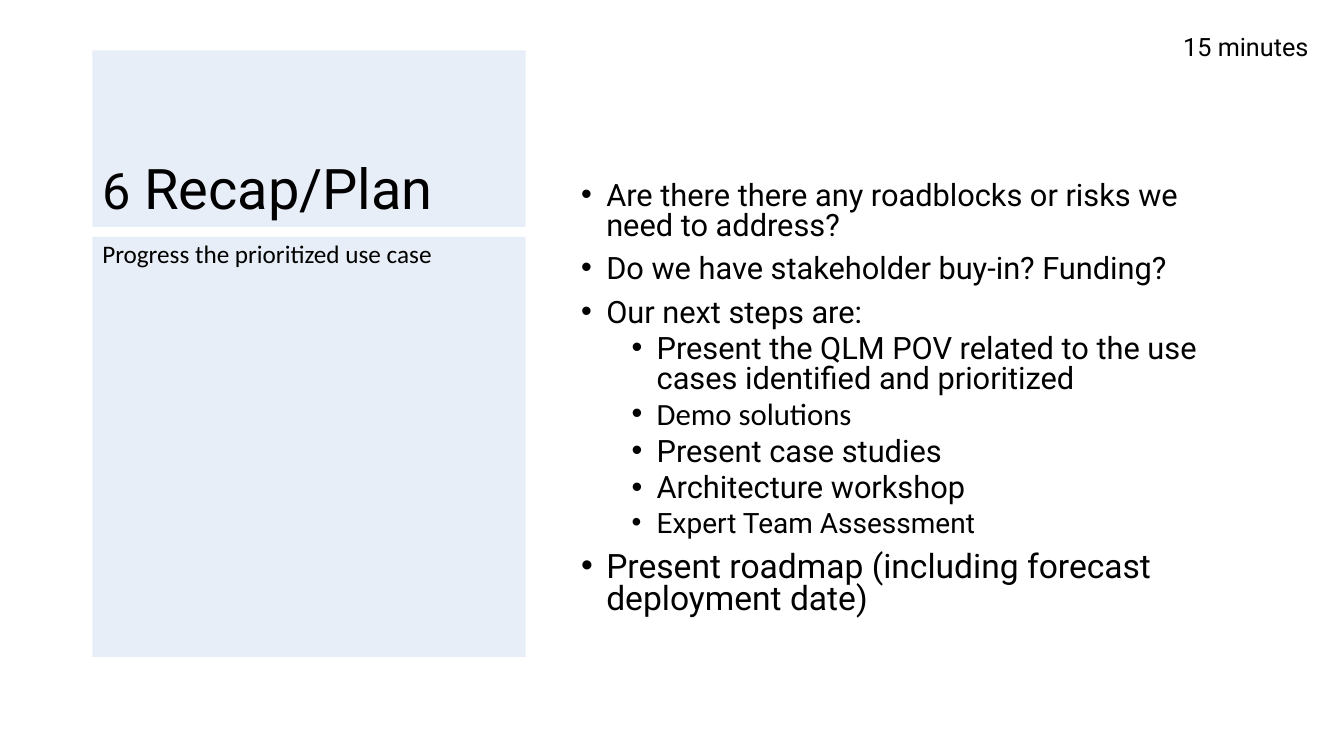
"""Build the Recap/Plan agenda slide on a grid of 160 columns by 90 rows."""
from dataclasses import dataclass

from lxml.etree import SubElement
from pptx import Presentation
from pptx.dml.color import RGBColor
from pptx.enum.shapes import MSO_SHAPE as Preset
from pptx.enum.text import MSO_ANCHOR as Anchor, PP_ALIGN as Align
from pptx.oxml.ns import qn
from pptx.util import Inches, Pt

COLOURS = {"panel": "B4C7E7", "text": "000000"}
CELL = Inches(1 / 12)
PANEL_OPACITY = 30
INDENT = Inches(0.25)


@dataclass(frozen=True)
class Area:
    col: float
    row: float
    cols: float
    rows: float

    def box(self) -> tuple[int, ...]:
        """Return left, top, width and height in slide units."""
        return tuple(round(n * CELL) for n in (self.col, self.row, self.cols, self.rows))


@dataclass(frozen=True)
class Point:
    text: str
    level: int = 0
    size: float = 22
    font: str = "Roboto"


HEADING = Area(11, 6, 51.6, 21)
SUMMARY = Area(11, 28.2, 51.6, 50)
AGENDA = Area(68, 13, 81, 64)
DURATION = Area(139.68, 3.12, 17.88, 4.8)

POINTS = (
    Point("Are there there any roadblocks or risks we need to address?"),
    Point("Do we have stakeholder buy-in? Funding?"),
    Point("Our next steps are:"),
    Point("Present the QLM POV related to the use cases identified and prioritized", 1),
    Point("Demo solutions", 1, font="Calibri"),
    Point("Present case studies", 1),
    Point("Architecture workshop", 1),
    Point("Expert Team Assessment", 1, 20),
    Point("Present roadmap (including forecast deployment date)", size=24),
)


def write(paragraph, text: str, *, size: float, font: str = "Roboto",
          spacing: float = 1.0, before: float = 0) -> None:
    """Append a formatted run to a paragraph."""
    paragraph.alignment = Align.LEFT
    paragraph.line_spacing = spacing
    paragraph.space_before = Pt(before)
    run = paragraph.add_run()
    run.text = text
    run.font.size = Pt(size)
    run.font.name = font
    run.font.color.rgb = RGBColor.from_string(COLOURS["text"])


def add_panel(slide, area: Area, anchor: Anchor):
    """Draw a translucent panel and return its first paragraph."""
    panel = slide.shapes.add_shape(Preset.RECTANGLE, *area.box())
    panel.shadow.inherit = False
    panel.line.fill.background()
    panel.fill.solid()
    panel.fill.fore_color.rgb = RGBColor.from_string(COLOURS["panel"])
    tint = next(panel.element.spPr.iter(qn("a:srgbClr")))
    SubElement(tint, qn("a:alpha"), val=str(PANEL_OPACITY * 1000))
    panel.text_frame.word_wrap = True
    panel.text_frame.vertical_anchor = anchor
    return panel.text_frame.paragraphs[0]


def add_text_area(slide, area: Area):
    """Add a wrapping text box and return its text frame."""
    frame = slide.shapes.add_textbox(*area.box()).text_frame
    frame.word_wrap = True
    return frame


def add_bullet(paragraph, level: int) -> None:
    """Give a paragraph a hanging bullet for its level."""
    paragraph.level = level
    properties = paragraph._p.get_or_add_pPr()
    properties.set("marL", str(INDENT * (1 + 2 * level)))
    properties.set("indent", str(-INDENT))
    SubElement(properties, qn("a:buFont"), typeface="Arial")
    SubElement(properties, qn("a:buChar"), char="•")


def add_agenda(slide, area: Area, points: tuple[Point, ...]) -> None:
    """List the discussion points."""
    frame = add_text_area(slide, area)
    frame.margin_top = Inches(0.73)
    for index, point in enumerate(points):
        paragraph = frame.add_paragraph() if index else frame.paragraphs[0]
        write(paragraph, point.text, size=point.size, font=point.font, spacing=0.8,
              before=5 if point.level else 10 if index else 0)
        add_bullet(paragraph, point.level)


def main() -> None:
    """Assemble and save the slide."""
    deck = Presentation()
    deck.slide_width, deck.slide_height = 160 * CELL, 90 * CELL
    slide = deck.slides.add_slide(deck.slide_layouts[6])

    heading = add_panel(slide, HEADING, Anchor.BOTTOM)
    write(heading, "6", size=36, spacing=0.9)
    write(heading, " Recap/Plan", size=40, spacing=0.9)
    add_agenda(slide, AGENDA, POINTS)
    summary = add_panel(slide, SUMMARY, Anchor.TOP)
    write(summary, "Progress the prioritized use case", size=18, font="Calibri", spacing=0.9)
    duration = add_text_area(slide, DURATION)
    write(duration.paragraphs[0], "15 minutes", size=18)

    deck.save("out.pptx")


if __name__ == "__main__":
    main()
